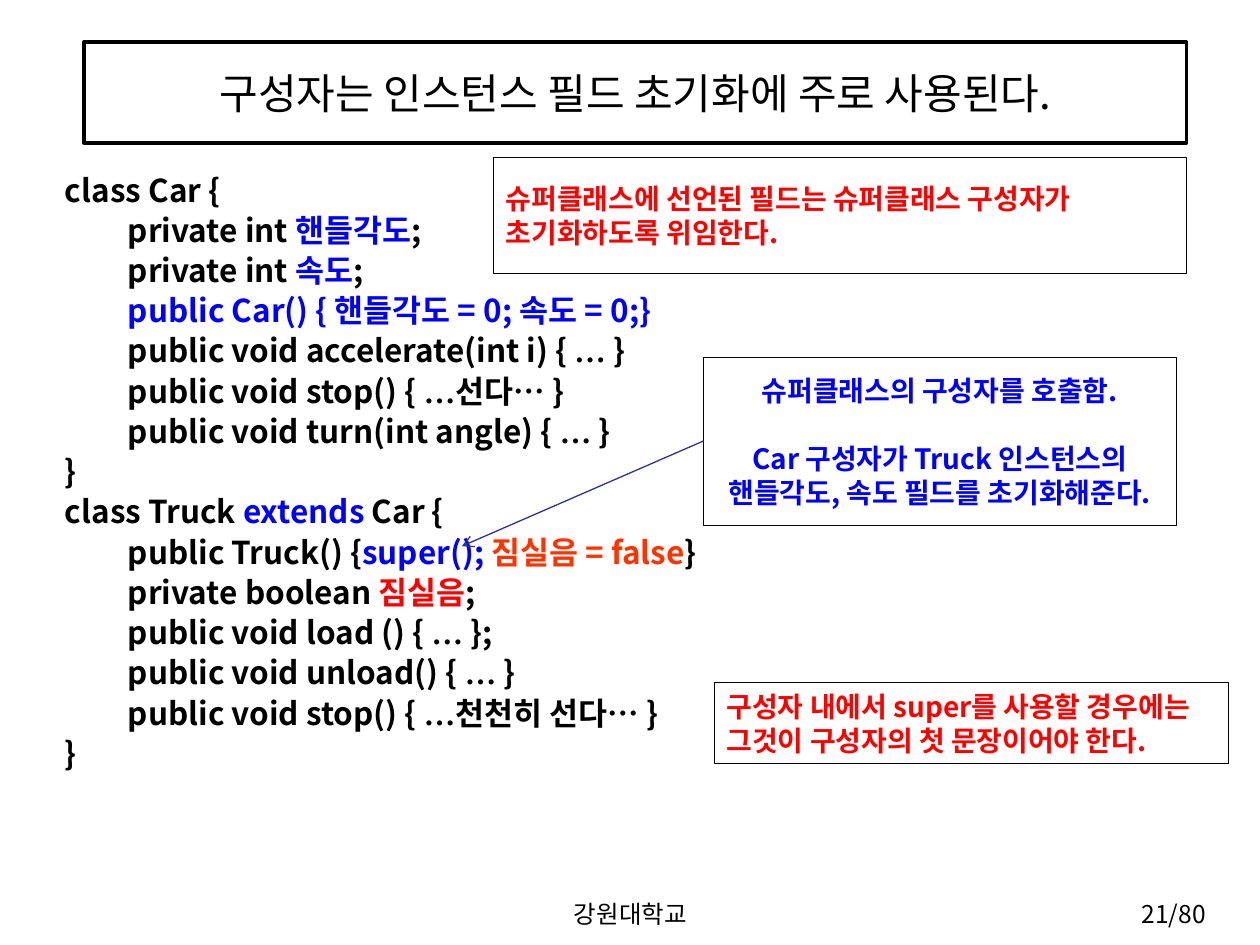
from itertools import groupby

from lxml import etree
from pptx import Presentation
from pptx import util as u
from pptx.dml.color import RGBColor
from pptx.enum import shapes, text
from pptx.oxml import ns

BLACK = RGBColor(0x00, 0x00, 0x00)
WHITE = RGBColor(0xFF, 0xFF, 0xFF)
BLUE = RGBColor(0x00, 0x00, 0xFF)
RED = RGBColor(0xFF, 0x00, 0x00)
ORANGE = RGBColor(0xFF, 0x33, 0x00)
NAVY = RGBColor(0x2F, 0x2F, 0x98)

ELLIPSIS = "…"
CODE = [
    (0, [("class Car {", BLACK)]),
    (1, [("private int ", BLACK), ("핸들각도", BLUE), (";", BLACK)]),
    (1, [("private int ", BLACK), ("속도", BLUE), (";", BLACK)]),
    (1, [("public Car() { 핸들각도 = 0; 속도 = 0;}", BLUE)]),
    (1, [("public void accelerate(int i) { … }", BLACK)]),
    (1, [("public void stop() { …선다… }", BLACK)]),
    (1, [("public void turn(int angle) { … }", BLACK)]),
    (0, [("}", BLACK)]),
    (0, [("class Truck ", BLACK), ("extends", BLUE), (" Car {", BLACK)]),
    (1, [("public Truck() {", BLACK), ("super(); ", BLUE),
         ("짐실음 = false", ORANGE), ("}", BLACK)]),
    (1, [("private boolean ", BLACK), ("짐실음", RED), (";", BLACK)]),
    (1, [("public void load () { … };", BLACK)]),
    (1, [("public void unload() { … }", BLACK)]),
    (1, [("public void stop() { …천천히 선다… }", BLACK)]),
    (0, [("}", BLACK)]),
]


class SlideBuilder:
    font = "Noto Sans CJK KR"
    ellipsis_font = "Times New Roman"
    code_size, code_pitch = u.Pt(18), u.Pt(23)
    note_size, note_pitch = u.Pt(16), u.Pt(19.4)
    indents = [(u.Cm(0.97), u.Cm(-0.97)), (u.Cm(2.06), u.Cm(-0.79))]

    def __init__(self, prs):
        self.s = prs.slides.add_slide(prs.slide_layouts[5])

    def run(self, p, content, size, color, bold=False):
        for is_ellipsis, chars in groupby(content, lambda c: c == ELLIPSIS):
            r = p.add_run()
            r.text = "".join(chars)
            r.font.size, r.font.bold = size, bold
            r.font.color.rgb = color
            r.font.name = self.ellipsis_font if is_ellipsis else self.font
            ea = etree.SubElement(r.font._element, ns.qn("a:ea"))
            ea.set("typeface", self.font)

    def frame(self, sp, anchor=text.MSO_ANCHOR.MIDDLE):
        tf = sp.text_frame
        tf.word_wrap = True
        tf.auto_size = text.MSO_AUTO_SIZE.NONE
        tf.vertical_anchor = anchor
        return tf

    def title(self, content, x, y, w, h):
        sp = self.s.shapes.title
        sp.left, sp.top, sp.width, sp.height = map(u.Cm, (x, y, w, h))
        sp.fill.solid()
        sp.fill.fore_color.rgb = WHITE
        sp.line.color.rgb = BLACK
        sp.line.width = u.Pt(2)
        p = self.frame(sp).paragraphs[0]
        p.alignment = text.PP_ALIGN.CENTER
        self.run(p, content, u.Pt(24), BLACK)

    def label(self, content, x, y, w, h, align):
        sp = self.s.shapes.add_textbox(*map(u.Cm, (x, y, w, h)))
        p = self.frame(sp).paragraphs[0]
        p.alignment = align
        self.run(p, content, u.Pt(14), BLACK)

    def code(self, lines, x, y, w, h):
        sp = self.s.shapes.add_textbox(*map(u.Cm, (x, y, w, h)))
        tf = self.frame(sp, text.MSO_ANCHOR.TOP)
        tf.margin_top = 0
        for i, (level, parts) in enumerate(lines):
            p = tf.add_paragraph() if i else tf.paragraphs[0]
            p.level = level
            p.alignment = text.PP_ALIGN.JUSTIFY
            p.line_spacing = self.code_pitch
            left, first = self.indents[level]
            pPr = p._p.get_or_add_pPr()
            pPr.set("marL", str(left))
            pPr.set("indent", str(first))
            for content, color in parts:
                self.run(p, content, self.code_size, color, True)

    def note(self, paragraphs, x, y, w, h, color, align, border=0.25):
        sp = self.s.shapes.add_shape(
            shapes.MSO_SHAPE.RECTANGLE, *map(u.Cm, (x, y, w, h)))
        sp.shadow.inherit = False
        sp.fill.background()
        sp.line.color.rgb = BLACK
        sp.line.width = u.Pt(border)
        tf = self.frame(sp)
        for i, content in enumerate(paragraphs):
            p = tf.add_paragraph() if i else tf.paragraphs[0]
            p.alignment = align
            p.line_spacing = self.note_pitch
            p.space_before = self.note_pitch if i else 0
            self.run(p, content, self.note_size, color, True)

    def arrow(self, x1, y1, x2, y2):
        sp = self.s.shapes.add_connector(
            shapes.MSO_CONNECTOR.STRAIGHT, *map(u.Cm, (x1, y1, x2, y2)))
        sp.line.color.rgb = NAVY
        sp.line.width = u.Pt(0.75)
        ln = sp.line._get_or_add_ln()
        etree.SubElement(ln, ns.qn("a:tailEnd")).set("type", "arrow")
        etree.SubElement(sp._element.spPr, ns.qn("a:effectLst"))


def main():
    prs = Presentation()
    prs.slide_width, prs.slide_height = u.Cm(25.4), u.Cm(19.05)
    left, center, right = (
        text.PP_ALIGN.LEFT, text.PP_ALIGN.CENTER, text.PP_ALIGN.RIGHT)

    b = SlideBuilder(prs)
    b.label("21/80", 22.23, 17.98, 2.33, 0.86, right)
    b.label("강원대학교", 8.68, 17.98, 8.06, 0.86, center)
    b.code(CODE, 1.06, 3.39, 16.1, 12.91)
    b.note(["구성자 내에서 super를 사용할 경우에는 그것이 구성자의 첫 문장이어야 한다."],
           14.4, 13.76, 10.37, 1.63, RED, left, 0.75)
    b.note(["슈퍼클래스에 선언된 필드는 슈퍼클래스 구성자가 초기화하도록 위임한다."],
           9.95, 3.18, 13.97, 2.33, RED, left)
    b.title("구성자는 인스턴스 필드 초기화에 주로 사용된다.", 1.69, 0.85, 22.23, 2.03)
    b.note(["슈퍼클래스의 구성자를 호출함.",
            "Car 구성자가 Truck 인스턴스의 핸들각도, 속도 필드를 초기화해준다."],
           14.18, 7.2, 9.53, 3.39, BLUE, center)
    b.arrow(14.18, 8.89, 9.31, 11.01)
    prs.save("out.pptx")


if __name__ == "__main__":
    main()
